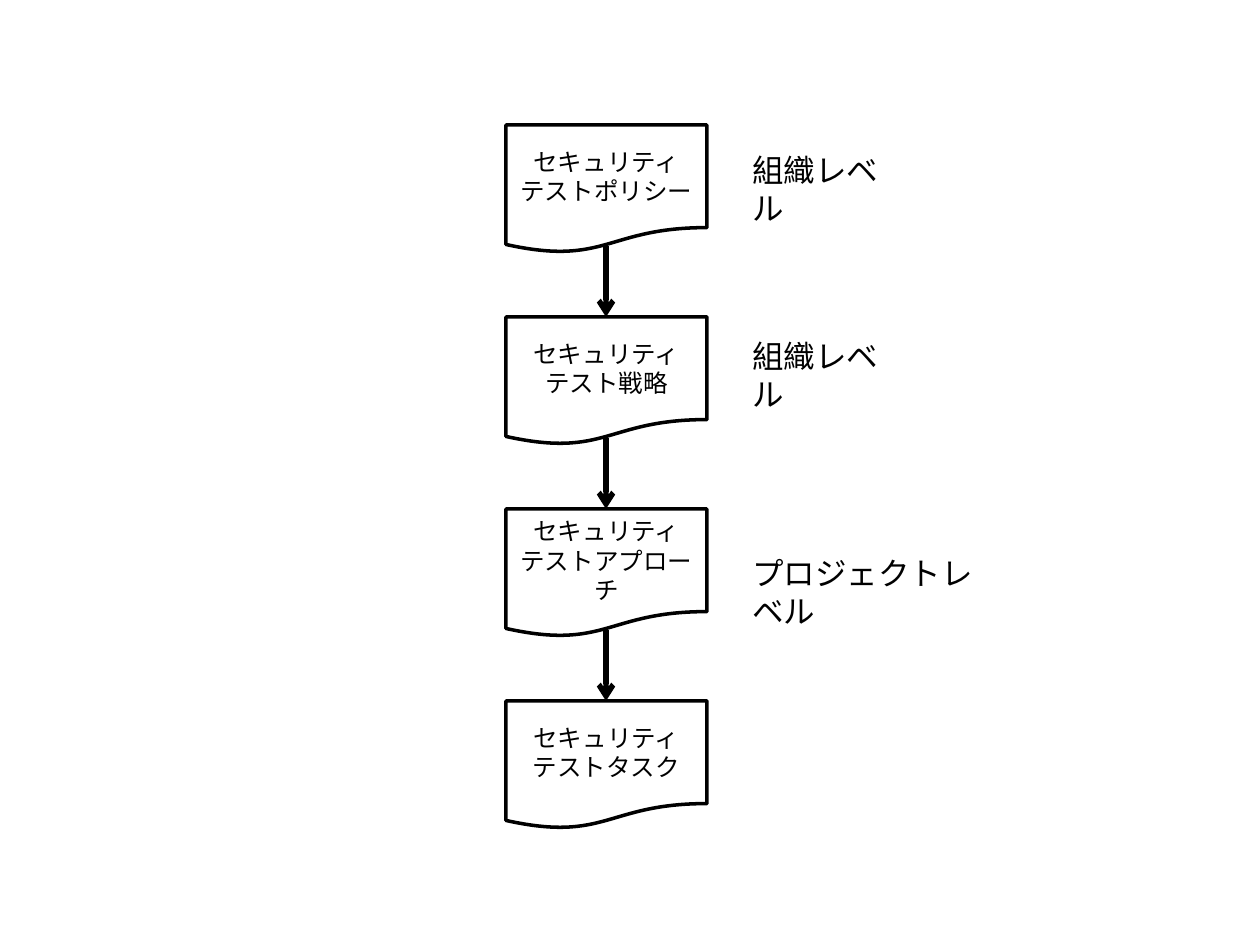
from dataclasses import dataclass

from lxml import etree
from pptx import Presentation
from pptx.dml.color import RGBColor
from pptx.enum.shapes import MSO_CONNECTOR, MSO_SHAPE
from pptx.enum.text import MSO_ANCHOR, MSO_AUTO_SIZE, PP_ALIGN
from pptx.oxml.ns import qn
from pptx.slide import Slide
from pptx.text.text import _Paragraph
from pptx.util import Emu, Pt

DOCUMENT = MSO_SHAPE.FLOWCHART_DOCUMENT
STRAIGHT = MSO_CONNECTOR.STRAIGHT
MIDDLE = MSO_ANCHOR.MIDDLE
CENTER = PP_ALIGN.CENTER
GROW = MSO_AUTO_SIZE.SHAPE_TO_FIT_TEXT

BLACK = RGBColor(0x00, 0x00, 0x00)
WHITE = RGBColor(0xFF, 0xFF, 0xFF)
FONT = "Calibri"

PIXELS_PER_INCH = 126
DOC_LEFT, DOC_TOP = 506, 125
DOC_WIDTH, DOC_HEIGHT = 201, 128
DOC_PITCH = 192
ARROW_X = 606
ARROW_OFFSET = 121
LABEL_LEFT, LABEL_HEIGHT = 740, 50


@dataclass(frozen=True)
class Level:
    """An organisational level named beside the flow."""
    text: str
    top: int
    width: int


STAGES = ["テストポリシー", "テスト戦略", "テストアプローチ", "テストタスク"]
LEVELS = [
    Level("組織レベル", 145, 178),
    Level("組織レベル", 331, 178),
    Level("プロジェクトレベル", 548, 268),
]


def px(pixels: int) -> Emu:
    """Turn pixels into EMU."""
    return Emu(round(pixels * 914400 / PIXELS_PER_INCH))


def set_font(paragraph: _Paragraph, size: int) -> None:
    """Apply the common font at the given point size."""
    paragraph.font.name = FONT
    paragraph.font.size = Pt(size)
    paragraph.font.color.rgb = BLACK


def add_document(slide: Slide, stage: str, top: int) -> None:
    """Draw one document of the security test flow."""
    document = slide.shapes.add_shape(
        DOCUMENT, px(DOC_LEFT), px(top), px(DOC_WIDTH), px(DOC_HEIGHT))
    document.shadow.inherit = False
    document.fill.solid()
    document.fill.fore_color.rgb = WHITE
    document.line.color.rgb = BLACK
    document.line.width = Pt(2)
    frame = document.text_frame
    frame.word_wrap = True
    frame.vertical_anchor = MIDDLE
    frame.text = f"セキュリティ\n{stage}"
    for paragraph in frame.paragraphs:
        paragraph.alignment = CENTER
        set_font(paragraph, 14)


def add_arrow(slide: Slide, start: int, end: int) -> None:
    """Draw a downward arrow between two documents."""
    arrow = slide.shapes.add_connector(
        STRAIGHT, px(ARROW_X), px(start), px(ARROW_X), px(end))
    arrow.line.color.rgb = BLACK
    arrow.line.width = Pt(3)
    properties = arrow.element.spPr
    outline = properties.find(qn("a:ln"))
    etree.SubElement(outline, qn("a:tailEnd"), type="arrow")
    etree.SubElement(properties, qn("a:effectLst"))


def add_level(slide: Slide, level: Level) -> None:
    """Write a level label to the right of the flow."""
    label = slide.shapes.add_textbox(
        px(LABEL_LEFT), px(level.top), px(level.width), px(LABEL_HEIGHT))
    frame = label.text_frame
    frame.word_wrap = True
    frame.auto_size = GROW
    frame.text = level.text
    set_font(frame.paragraphs[0], 18)


def main() -> None:
    """Build the slide and save it."""
    presentation = Presentation()
    presentation.slide_width = px(1260)
    presentation.slide_height = px(945)
    slide = presentation.slides.add_slide(presentation.slide_layouts[6])

    tops = [DOC_TOP + index * DOC_PITCH for index in range(len(STAGES))]
    for stage, top in zip(STAGES, tops):
        add_document(slide, stage, top)
    for top, next_top in zip(tops, tops[1:]):
        add_arrow(slide, top + ARROW_OFFSET, next_top)
    for level in LEVELS:
        add_level(slide, level)

    presentation.save("out.pptx")


main()
